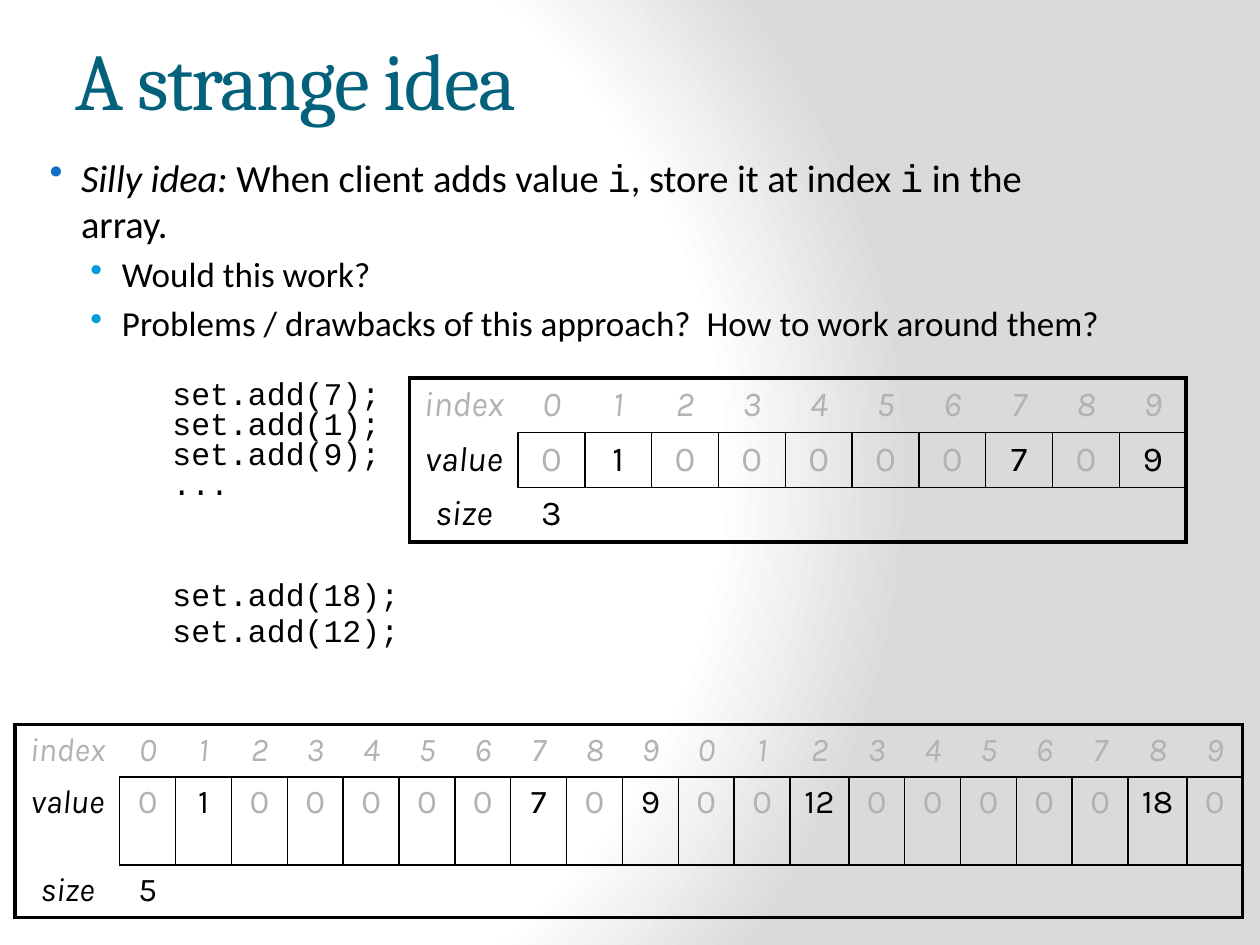
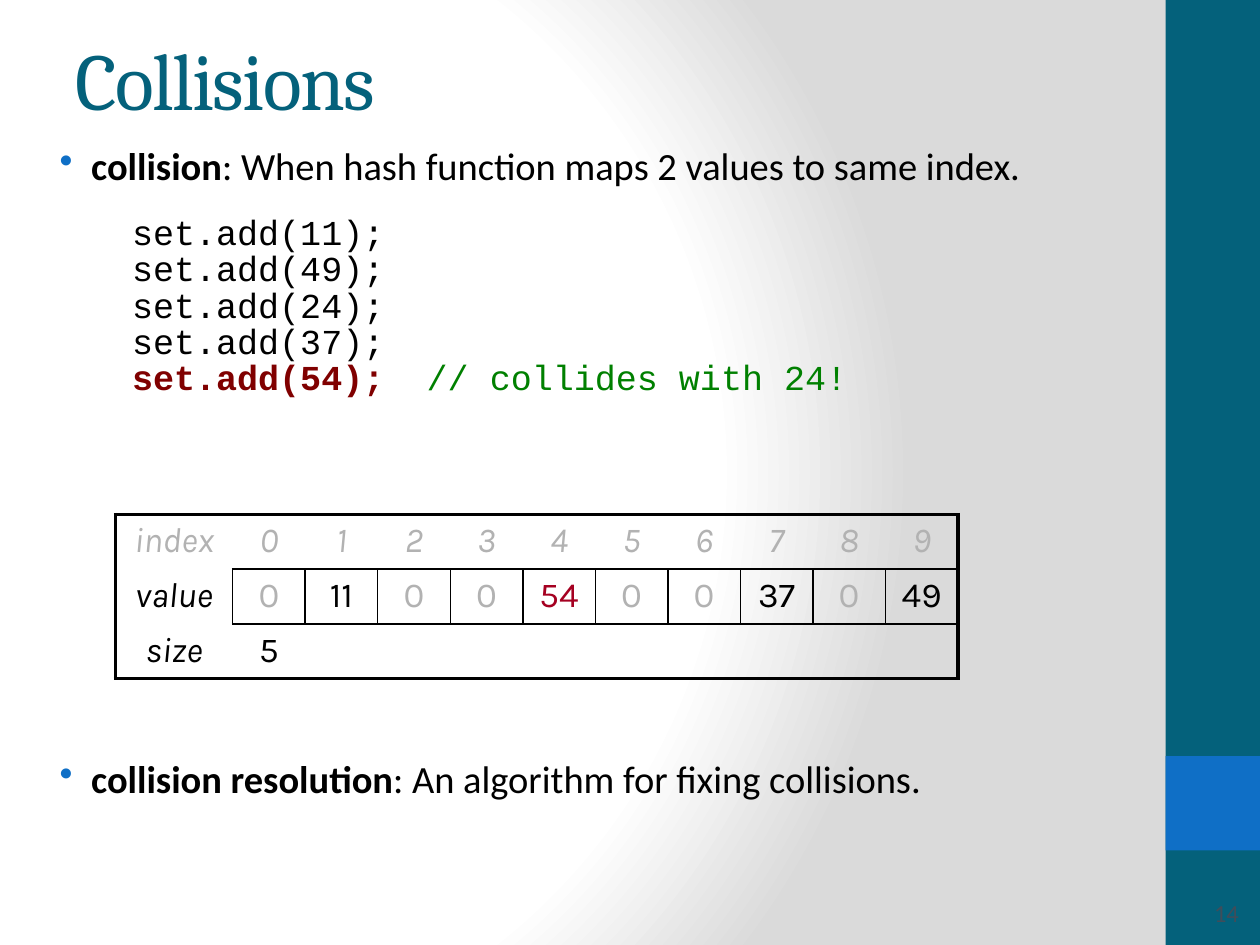
from pptx import Presentation
from pptx import util as u
from pptx.dml.color import RGBColor
from pptx.enum import shapes, text
from pptx.oxml import parse_xml
from pptx.oxml.ns import nsdecls, qn
from lxml import etree

Pt = u.Pt
TEAL = RGBColor(0x04, 0x61, 0x7B)
BLUE = RGBColor(0x0F, 0x6F, 0xC6)
SKY = RGBColor(0x00, 0x9D, 0xD9)
BLACK = RGBColor(0x00, 0x00, 0x00)
WHITE = RGBColor(0xFF, 0xFF, 0xFF)
PALE = RGBColor(0xDA, 0xDA, 0xDA)
FADED = RGBColor(0xB2, 0xB2, 0xB2)
SLATE = RGBColor(0x40, 0x4D, 0x5A)
MAROON = RGBColor(0x80, 0x00, 0x00)
GREEN = RGBColor(0x00, 0x80, 0x00)
CRIMSON = RGBColor(0xA5, 0x00, 0x21)

HEAD, BODY, CODE, CELL = "Cambria", "Calibri", "Courier New", "Karla"
THICK, THIN = 2.25, 1
NO_STYLE = "{2D5ABB26-0587-4C30-8999-92F81FD0307C}"
PLAIN_CODE = {"name": CODE}
ITALIC, BOLD = {"italic": True}, {"bold": True}


# ---- shared helpers ----
def add_span(para, words, color=BLACK, **formats):
    span = para.add_run()
    span.text = words
    span.font.color.rgb = color
    for name, value in formats.items():
        setattr(span.font, name, value)
    return span


def add_text_box(page, box, **formats):
    frame = page.shapes.add_textbox(*map(Pt, box)).text_frame
    for name, value in {"word_wrap": True, **formats}.items():
        setattr(frame, name, value)
    return frame


def next_para(frame, **formats):
    """Use the empty first paragraph, or add one."""
    first = frame.paragraphs[0]
    para = frame.add_paragraph() if first.runs else first
    for name, value in formats.items():
        setattr(para, name, value)
    return para


def add_bullet(frame, parts, level=0, before=0):
    """Bulleted paragraph; parts are (words, formats) pairs."""
    para = next_para(frame, space_before=Pt(before))
    margin, size, color = ((27, 22, BLUE), (50.4, 20, SKY))[level]
    props = para._p.get_or_add_pPr()
    props.set("marL", str(Pt(margin)))
    props.set("indent", str(Pt(-18)))
    mark = etree.SubElement(props, qn("a:buClr"))
    etree.SubElement(mark, qn("a:srgbClr")).set("val", str(color))
    etree.SubElement(props, qn("a:buChar")).set("char", "•")
    for words, formats in parts:
        add_span(para, words, **{"name": BODY, "size": Pt(size), **formats})


def add_code(frame, lines, size, margin, pitch, before, gap):
    """Code lines, 'before' above the first and 'gap' between the rest."""
    for number, parts in enumerate(lines):
        para = next_para(frame, line_spacing=Pt(pitch),
                         space_before=Pt(gap if number else before))
        para._p.get_or_add_pPr().set("marL", str(Pt(margin)))
        for words, formats in parts:
            add_span(para, words, **{"name": CODE, "size": Pt(size), **formats})


def calls(*numbers):
    return [[(f"set.add({number});", {})] for number in numbers]


# ---- page parts ----
def add_page(deck, title):
    page = deck.slides.add_slide(deck.slide_layouts[6])
    # round background gradient
    stops = "".join(
        f'<a:gs pos="{place * 1000}"><a:srgbClr val="{color}"/></a:gs>'
        for place, color in ((0, WHITE), (75, WHITE), (100, PALE)))
    page._element.cSld.insert(0, parse_xml(
        f'<p:bg {nsdecls("p", "a")}><p:bgPr><a:gradFill rotWithShape="1">'
        f'<a:gsLst>{stops}</a:gsLst><a:path path="circle">'
        '<a:fillToRect l="20000" t="50000" r="100000" b="50000"/></a:path>'
        '</a:gradFill><a:effectLst/></p:bgPr></p:bg>'))
    # title
    frame = add_text_box(page, (36, 0, 600, 90),
                         vertical_anchor=text.MSO_ANCHOR.MIDDLE)
    span = add_span(next_para(frame), title, TEAL, name=HEAD, size=Pt(46))
    span._r.get_or_add_rPr().set("spc", "-100")
    return page


def add_side_band(page, box, number):
    left, top, width, height = box
    bars = ((box, TEAL), ((left, top + 0.8 * height, width, width), BLUE))
    for place, color in bars:
        bar = page.shapes.add_shape(shapes.MSO_SHAPE.RECTANGLE, *map(Pt, place))
        bar.shadow.inherit = False
        bar.fill.solid()
        bar.fill.fore_color.rgb = color
        bar.line.fill.background()
    # page number
    frame = add_text_box(page, (left, top + height - 31, width - 5, 25),
                         vertical_anchor=text.MSO_ANCHOR.MIDDLE)
    para = next_para(frame, alignment=text.PP_ALIGN.RIGHT)
    add_span(para, str(number), SLATE, name=BODY, size=Pt(14))


def set_borders(cell, widths):
    """Border widths by side; children must stand in the order L, R, T, B."""
    props = cell._tc.get_or_add_tcPr()
    sides = [side for side in "LRTB" if side in widths]
    for place, side in enumerate(sides):
        props.insert(place, parse_xml(
            f'<a:ln{side} {nsdecls("a")} w="{Pt(widths[side])}">'
            f'<a:solidFill><a:srgbClr val="{BLACK}"/></a:solidFill>'
            f'</a:ln{side}>'))


def add_array(page, box, values, size_value, label_width, row_heights,
              font_size=20, wide=(), wide_width=0, accents=()):
    """Array picture: rows for index, value and size; zeros are faded."""
    count = len(values)
    table = page.shapes.add_table(3, count + 1, *map(Pt, box)).table
    table._tbl.tblPr.find(qn("a:tableStyleId")).text = NO_STYLE
    table.first_row = table.horz_banding = False
    for row, height in zip(table.rows, row_heights):
        row.height = Pt(height)
    rest = (box[2] - label_width - wide_width * len(wide)) / (count - len(wide))
    widths = [label_width] + [wide_width if number in wide else rest
                              for number in range(count)]
    for column, width in zip(table.columns, widths):
        column.width = Pt(width)

    rows = (["index"] + [number % 10 for number in range(count)],
            ["value"] + values,
            ["size", size_value] + [""] * (count - 1))
    for down, row in enumerate(rows):
        for across, value in enumerate(row):
            cell = table.cell(down, across)
            cell.fill.background()
            # thick frame around the table, thin grid around the values
            borders = {}
            if down == 1:
                borders = dict.fromkeys("LRTB" if across else "R", THIN)
            elif across:
                borders = {"T" if down else "B": THIN}
            edges = {"L": across == 0, "R": across == count,
                     "T": down == 0, "B": down == 2}
            borders.update({side: THICK for side, on in edges.items() if on})
            set_borders(cell, borders)
            if value == "":
                continue
            color = FADED if down == 0 or value == 0 else BLACK
            if down == 1 and value in accents:
                color = CRIMSON
            para = next_para(cell.text_frame, alignment=text.PP_ALIGN.CENTER)
            add_span(para, str(value), color, name=CELL, size=Pt(font_size),
                     italic=down == 0 or across == 0)


# ---- slides ----
def build_idea(deck):
    page = add_page(deck, "A strange idea")
    frame = add_text_box(page, (12.24, 84.24, 624.24, 419.76))
    add_bullet(frame, [("Silly idea:", ITALIC), (" When client adds value ", {}),
                       ("i", PLAIN_CODE), (", store it at index ", {}),
                       ("i", PLAIN_CODE), (" in the array.", {})])
    for words in ("Would this work?",
                  "Problems / drawbacks of this approach?  "
                  "How to work around them?"):
        add_bullet(frame, [(words, {})], level=1, before=4)
    add_code(frame, calls(7, 1, 9) + [[("...", {})]], 18, 79.2, 17.3, 21.2, 0)
    add_code(frame, calls(18, 12), 18, 79.2, 17.3, 45.7, 3.8)

    small = [0, 1, 0, 0, 0, 0, 0, 7, 0, 9]
    add_array(page, (234, 216, 444, 93.6), small, 3, 62, [31.2] * 3)
    large = small + [0, 0, 12, 0, 0, 0, 0, 0, 18, 0]
    add_array(page, (8.64, 414, 702, 109.44), large, 5, 59.8,
              [29.52, 50.4, 29.52], font_size=19, wide=(12, 18),
              wide_width=33.6)


def build_collisions(deck):
    page = add_page(deck, "Collisions")
    add_side_band(page, (666, 0, 54, 540), 14)
    frame = add_text_box(page, (18, 77.76, 653.76, 450))
    add_bullet(frame, [("collision", BOLD),
                       (": When hash function maps 2 values to same index.", {})])
    clash = [("set.add(54);  ", {"color": MAROON, **BOLD}),
             ("// collides with 24!", {"color": GREEN})]
    add_code(frame, calls(11, 49, 24, 37) + [clash], 20, 50.4, 16.7, 20, 4)
    add_bullet(frame, [("collision resolution", BOLD),
                       (": An algorithm for fixing collisions.", {})],
               before=204.5)
    add_array(page, (66, 294, 481.68, 93.6),
              [0, 11, 0, 0, 54, 0, 0, 37, 0, 49], 5, 67, [31.2] * 3,
              accents=(54,))


deck = Presentation()
deck.slide_width, deck.slide_height = Pt(720), Pt(540)
build_idea(deck)
build_collisions(deck)
deck.save("out.pptx")
